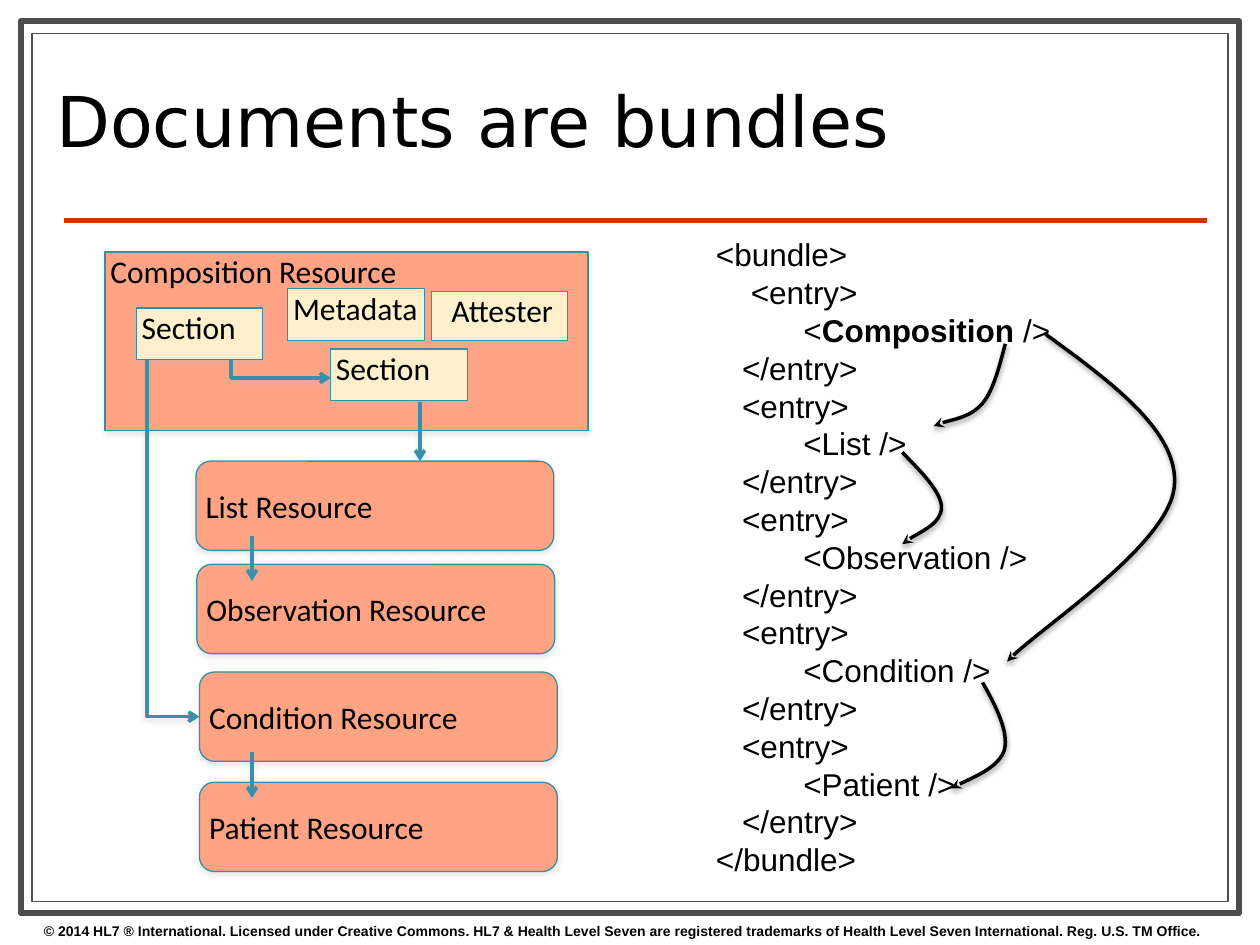
from lxml.etree import SubElement
from pptx import Presentation
from pptx.dml.color import RGBColor
from pptx.enum.shapes import MSO_CONNECTOR, MSO_SHAPE
from pptx.enum.text import MSO_ANCHOR, MSO_AUTO_SIZE, PP_ALIGN
from pptx.oxml.ns import qn
from pptx.util import Pt

BLACK = RGBColor(0x00, 0x00, 0x00)
WHITE = RGBColor(0xFF, 0xFF, 0xFF)
FRAME_GREY = RGBColor(0x4D, 0x4D, 0x4D)
RULE_RED = RGBColor(0xCC, 0x33, 0x00)
SALMON = RGBColor(0xFF, 0xA3, 0x85)
CREAM = RGBColor(0xFE, 0xF0, 0xCD)
BORDER_TEAL = RGBColor(0x33, 0x8F, 0xA5)
ARROW_TEAL = RGBColor(0x38, 0x91, 0xA7)
SHADOW_GREY = RGBColor(0xC0, 0xC0, 0xC0)

COPYRIGHT = (
    "© 2014 HL7 ® International. Licensed under Creative Commons. HL7 & Health Level Seven "
    "are registered trademarks of Health Level Seven International. Reg. U.S. TM Office."
)
ENTRIES = ["Composition", "List", "Observation", "Condition", "Patient"]
REFERENCE_CURVES = [
    [(172.5, 65.5), (169, 78.5), (166, 91.5), (159.5, 99.5),
     (152.5, 107.5), (136, 110), (131.5, 112.5)],
    [(195.5, 60), (234, 88), (272.5, 116.5), (269, 147.5),
     (265.5, 179.5), (188.5, 230.5), (173.5, 247)],
    [(159.5, 259), (167.5, 273), (174.5, 287.5), (172, 297.5),
     (169, 307.5), (145, 317.5), (141.5, 319.5)],
    [(113.5, 127.5), (125, 139), (136, 150.5), (136, 159),
     (136, 168), (117, 176.5), (113.5, 180)],
]


def style_font(paragraph, name, size, bold=None):
    """Give a paragraph its black font."""
    font = paragraph.font
    font.name, font.size, font.bold = name, Pt(size), bold
    font.color.rgb = BLACK


def style_line(shape, color, width):
    """Set the colour and width of an outline."""
    shape.line.color.rgb = color
    shape.line.width = Pt(width)


def set_effects(shape, color=None, alpha=0, distance=0):
    """Replace the theme shadow by a downward one, or by none."""
    properties = shape.element.spPr
    effects = SubElement(properties, qn("a:effectLst"))
    if color is not None:
        shadow = SubElement(effects, qn("a:outerShdw"), blurRad=str(Pt(3)),
                            dist=str(Pt(distance)), dir="5400000", rotWithShape="0")
        tint = SubElement(shadow, qn("a:srgbClr"), val=str(color))
        SubElement(tint, qn("a:alpha"), val=str(alpha * 1000))


def finish_arrow(shape, color, head, shadow_color):
    """Style a line and put an arrowhead at its end."""
    style_line(shape, color, 2)
    SubElement(shape.line._get_or_add_ln(), qn("a:tailEnd"), type=head)
    set_effects(shape, shadow_color, 38, 1.6)


def add_path(slide, origin, points):
    """Draw an open outline through points relative to an origin."""
    left, top = origin
    placed = [(Pt(left + x), Pt(top + y)) for x, y in points]
    builder = slide.shapes.build_freeform(*placed[0])
    builder.add_line_segments(placed[1:], close=False)
    outline = builder.convert_to_shape()
    outline.fill.background()
    return outline


def bend_path(outline):
    """Turn each three line segments of an outline into one cubic curve."""
    path = outline.element.find(".//" + qn("a:path"))
    segments = path.findall(qn("a:lnTo"))
    for start in range(0, len(segments), 3):
        curve = SubElement(path, qn("a:cubicBezTo"))
        for segment in segments[start:start + 3]:
            curve.append(segment[0])
            path.remove(segment)


def add_resource(slide, box, label, fill, kind=MSO_SHAPE.RECTANGLE,
                 anchor=MSO_ANCHOR.TOP, align=PP_ALIGN.LEFT):
    """Draw a labelled box with a soft shadow."""
    resource = slide.shapes.add_shape(kind, *map(Pt, box))
    resource.fill.solid()
    resource.fill.fore_color.rgb = fill
    style_line(resource, BORDER_TEAL, 0.75)
    set_effects(resource, SHADOW_GREY, 35, 1.8)
    frame = resource.text_frame
    frame.margin_left = Pt(3)
    frame.margin_top = frame.margin_right = frame.margin_bottom = 0
    frame.vertical_anchor = anchor
    frame.text = label
    frame.paragraphs[0].alignment = align
    style_font(frame.paragraphs[0], "Calibri", 18)


def add_page_frame(slide, box):
    """Draw the double border, the rule and the copyright line."""
    left, top, width, height = box
    title = slide.shapes.title
    for dx, dy, weight in [(0, 0, 3.5), (6.25, 7, 0.75)]:
        border = slide.shapes.add_shape(
            MSO_SHAPE.RECTANGLE, Pt(left + dx), Pt(top + dy),
            Pt(width - 2 * dx), Pt(height - 2 * dy))
        border.fill.solid()
        border.fill.fore_color.rgb = WHITE
        style_line(border, FRAME_GREY, weight)
        set_effects(border)
        title.element.addprevious(border.element)
    rule = slide.shapes.add_connector(
        MSO_CONNECTOR.STRAIGHT, Pt(left + 24.5), Pt(top + 114),
        Pt(left + width - 18), Pt(top + 114))
    style_line(rule, RULE_RED, 3)
    set_effects(rule)
    notice = slide.shapes.add_textbox(
        Pt(left + 6), Pt(top + height + 1.5), Pt(width + 6), Pt(16.5)).text_frame
    notice.word_wrap = True
    notice.text = COPYRIGHT
    style_font(notice.paragraphs[0], "Arial", 8, True)


def add_title(slide, box):
    """Place and format the title placeholder."""
    title = slide.shapes.title
    title.left, title.top, title.width, title.height = map(Pt, box)
    frame = title.text_frame
    frame.vertical_anchor = MSO_ANCHOR.MIDDLE
    frame.auto_size = MSO_AUTO_SIZE.NONE
    frame.text = "Documents are bundles"
    heading = frame.paragraphs[0]
    heading.alignment = PP_ALIGN.LEFT
    heading.line_spacing = 0.8
    style_font(heading, "DejaVu Sans", 40)


def add_resource_diagram(slide, box):
    """Draw the composition, the resources and the arrows between them."""
    left, top, width, height = box
    add_resource(slide, box, "Composition Resource", SALMON)
    for label, x, y, w, h, align in [
        ("Section", 18, 32, 72, 29.5, PP_ALIGN.LEFT),
        ("Section", 129, 55.5, 78, 29.5, PP_ALIGN.LEFT),
        ("Attester", 186.5, 22.5, 78, 28, PP_ALIGN.CENTER),
        ("Metadata", 104.5, 21, 78, 29.5, PP_ALIGN.LEFT),
    ]:
        add_resource(slide, (left + x, top + y, w, h), label, CREAM, align=align)
    for name, x, y in [("List", 52, 119.5), ("Observation", 52.5, 178.5),
                       ("Condition", 54, 240), ("Patient", 54, 303)]:
        add_resource(slide, (left + x, top + y, 204.5, 51), f"{name} Resource", SALMON,
                     MSO_SHAPE.ROUNDED_RECTANGLE, MSO_ANCHOR.MIDDLE)
    for elbow in [[(72, 61.5), (72, 72), (129, 72)],
                  [(24, 61.5), (24, 265.5), (54, 265.5)]]:
        finish_arrow(add_path(slide, (left, top), elbow), ARROW_TEAL, "arrow", SHADOW_GREY)
    for x, start, end in [(180, 85.5, 119.5), (84, 162, 188), (84, 286, 312)]:
        arrow = slide.shapes.add_connector(
            MSO_CONNECTOR.STRAIGHT, Pt(left + x), Pt(top + start),
            Pt(left + x), Pt(top + end))
        finish_arrow(arrow, ARROW_TEAL, "arrow", SHADOW_GREY)


def add_bundle_listing(slide, box):
    """Write the bundle markup and draw the curved references over it."""
    listing = slide.shapes.add_textbox(*map(Pt, box)).text_frame
    listing.word_wrap = False
    listing.auto_size = MSO_AUTO_SIZE.SHAPE_TO_FIT_TEXT
    lines = [("<bundle>",)]
    for entry in ENTRIES:
        indent = 4 if entry == ENTRIES[0] else 3
        lines += [(" " * indent + "<entry>",),
                  (" " * 10 + "<", entry, " />"),
                  ("   </entry>",)]
    lines.append(("</bundle>",))
    for index, parts in enumerate(lines):
        line = listing.add_paragraph() if index else listing.paragraphs[0]
        style_font(line, "Arial", 18)
        for part in parts:
            run = line.add_run()
            run.text = part
            if part == ENTRIES[0]:
                run.font.bold = True
    for points in REFERENCE_CURVES:
        reference = add_path(slide, box[:2], points)
        bend_path(reference)
        finish_arrow(reference, BLACK, "stealth", BLACK)


def main():
    """Build and save the slide."""
    deck = Presentation()
    deck.slide_width, deck.slide_height = Pt(720), Pt(540)
    slide = deck.slides.add_slide(deck.slide_layouts[5])
    add_page_frame(slide, (12, 12, 696, 510))
    add_title(slide, (25, 26, 516, 93))
    add_resource_diagram(slide, (60, 144, 276, 102))
    add_bundle_listing(slide, (402, 131, 207, 378))
    deck.save("out.pptx")


if __name__ == "__main__":
    main()
